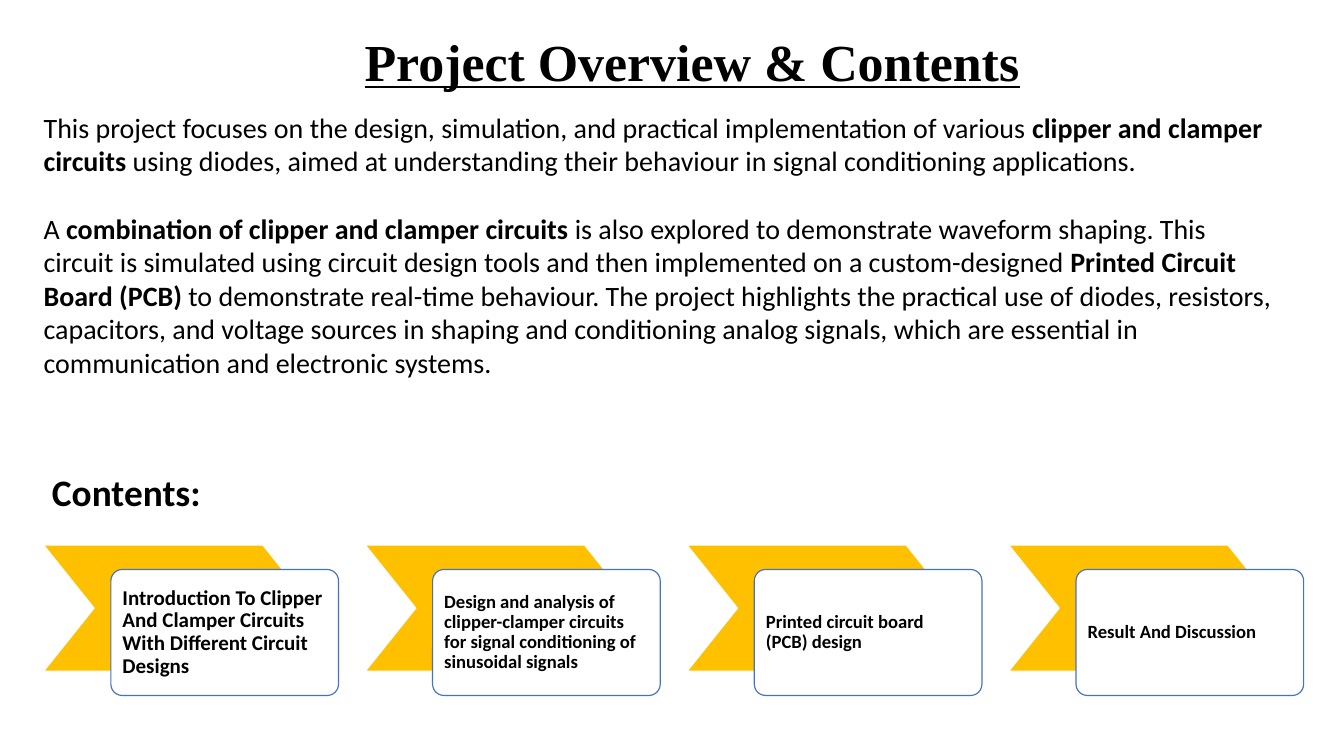
from pptx import Presentation
from pptx.dml.color import RGBColor
from pptx.enum.shapes import MSO_SHAPE
from pptx.enum.text import MSO_ANCHOR, PP_ALIGN
from pptx.util import Inches, Pt

BLACK, WHITE, GOLD, BLUE = "000000", "FFFFFF", "FFC000", "4472C4"

# Each run is (text, bold)
OVERVIEW = [
    [("This project focuses on the design, simulation, and practical "
      "implementation of various ", False),
     ("clipper and clamper circuits", True),
     (" using diodes, aimed at understanding their behaviour in signal "
      "conditioning applications.", False)],
    [("A ", False),
     ("combination of clipper and clamper circuits", True),
     (" is also explored to demonstrate waveform shaping. This circuit is "
      "simulated using circuit design tools and then implemented on a "
      "custom-designed ", False),
     ("Printed Circuit Board (PCB)", True),
     (" to demonstrate real-time behaviour. The project highlights the "
      "practical use of diodes, resistors, capacitors, and voltage sources in "
      "shaping and conditioning analog signals, which are essential in "
      "communication and electronic systems.", False)],
]

# Each step is (text, font size)
STEPS = [
    ("Introduction To Clipper And Clamper Circuits With Different Circuit "
     "Designs", 18),
    ("Design and analysis of clipper-clamper circuits for signal conditioning "
     "of sinusoidal signals", 16),
    ("Printed circuit board (PCB) design", 16),
    ("Result And Discussion", 16),
]


def rgb(value):
    return RGBColor.from_string(value)


def set_margins(tf, x, y):
    tf.margin_left = tf.margin_right = Inches(x)
    tf.margin_top = tf.margin_bottom = Inches(y)


def format_run(r, size, bold=True, font="Calibri"):
    r.font.name = font
    r.font.size = Pt(size)
    r.font.bold = bold
    r.font.color.rgb = rgb(BLACK)


def add_text(s, x, y, w, h, paragraphs, size, font="Calibri",
             margins=(0, 0)):
    sp = s.shapes.add_textbox(Inches(x), Inches(y), Inches(w), Inches(h))
    tf = sp.text_frame
    tf.word_wrap = True
    set_margins(tf, *margins)
    for i, runs in enumerate(paragraphs):
        p = tf.add_paragraph() if i else tf.paragraphs[0]
        if i:
            p.space_before = Pt(29)
        for text, bold in runs:
            r = p.add_run()
            r.text = text
            format_run(r, size, bold, font)
    return tf


def add_block(s, preset, x, y, w, h, adjust, fill, line):
    sp = s.shapes.add_shape(preset, Inches(x), Inches(y), Inches(w), Inches(h))
    sp.shadow.inherit = False
    sp.adjustments[0] = adjust
    sp.fill.solid()
    sp.fill.fore_color.rgb = rgb(fill)
    sp.line.color.rgb = rgb(line)
    sp.line.width = Pt(1)
    return sp


def add_step(s, x, text, size):
    # Arrow behind the card
    add_block(s, MSO_SHAPE.CHEVRON, x, 6.49, 3.21, 1.5, 0.4, GOLD, WHITE)

    # Card with the step's name
    sp = add_block(s, MSO_SHAPE.ROUNDED_RECTANGLE, x + 0.8, 6.78, 2.71, 1.5,
                   0.09, WHITE, BLUE)
    tf = sp.text_frame
    tf.word_wrap = True
    tf.vertical_anchor = MSO_ANCHOR.MIDDLE
    set_margins(tf, 0.1, 0.1)
    tf.margin_right = Inches(0.13)
    tf.text = text
    p = tf.paragraphs[0]
    p.alignment = PP_ALIGN.LEFT
    p.line_spacing = 0.9
    format_run(p.runs[0], size)


def main():
    prs = Presentation()
    prs.slide_width, prs.slide_height = Inches(16), Inches(9)
    s = prs.slides.add_slide(prs.slide_layouts[6])

    # Title
    tf = add_text(s, 4.34, 0.32, 8.2, 0.78,
                  [[("Project Overview & Contents", True)]], 44.5,
                  font="Times New Roman")
    p = tf.paragraphs[0]
    p.line_spacing = Pt(55.5)
    p.runs[0].font.underline = True

    # Overview
    add_text(s, 0.52, 1.31, 14.67, 3.38, OVERVIEW, 24)

    # Contents
    add_text(s, 0.52, 5.54, 2.92, 0.64, [[("Contents:", True)]], 32,
             margins=(0.1, 0.05))
    for i, (text, size) in enumerate(STEPS):
        add_step(s, 0.52 + 3.83 * i, text, size)

    prs.save("out.pptx")


if __name__ == "__main__":
    main()
